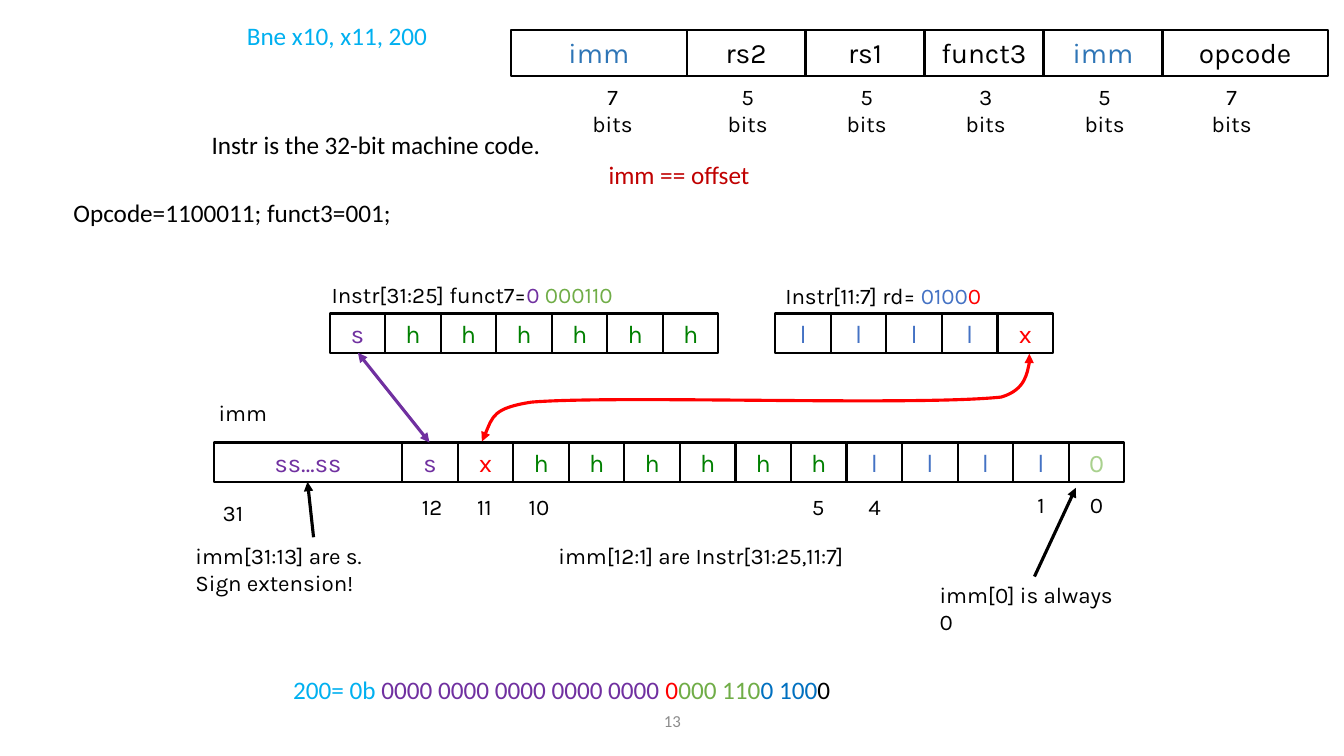
from itertools import accumulate

from pptx import Presentation
from pptx.dml.color import RGBColor
from pptx.enum.shapes import MSO_CONNECTOR, MSO_SHAPE
from pptx.enum.text import MSO_ANCHOR, PP_ALIGN
from pptx.oxml.ns import qn
from pptx.oxml.xmlchemy import OxmlElement
from pptx.util import Inches, Pt

BLACK = RGBColor(0x00, 0x00, 0x00)
GRAY = RGBColor(0x8C, 0x8C, 0x8C)
PURPLE = RGBColor(0x70, 0x30, 0xA0)
RED = RGBColor(0xFF, 0x00, 0x00)
DARK_RED = RGBColor(0xC0, 0x00, 0x00)
DARK_GREEN = RGBColor(0x00, 0x80, 0x00)
GREEN = RGBColor(0x70, 0xAD, 0x47)
PALE_GREEN = RGBColor(0xA9, 0xD1, 0x8E)
BLUE = RGBColor(0x44, 0x72, 0xC4)
FIELD_BLUE = RGBColor(0x2E, 0x75, 0xB6)
DEEP_BLUE = RGBColor(0x00, 0x70, 0xC0)
SKY = RGBColor(0x00, 0xB0, 0xF0)

BIT_COLORS = {"s": PURPLE, "x": RED, "h": DARK_GREEN, "l": BLUE, "0": PALE_GREEN}
IMM_LEFT, IMM_TOP = 3.99, 4.39
CELL_WIDTH, CELL_HEIGHT = 6.61 / 12, 0.39
SIGN_WIDTH = 1.87

KARLA = {"name": "Karla", "size": Pt(16)}
CELL = {"name": "Karla", "size": Pt(18)}
FIELD = {"name": "Karla", "size": Pt(20)}
CALIBRI = {"name": "Calibri", "size": Pt(18)}
PAGE = {"name": "Calibri", "size": Pt(12)}

# Instruction fields: name, color, width, bit count, left of the bit label
FIELDS = [
    ("imm", FIELD_BLUE, 1.74, 7, 5.70),
    ("rs2", BLACK, 1.18, 5, 7.04),
    ("rs1", BLACK, 1.18, 5, 8.22),
    ("funct3", BLACK, 1.18, 3, 9.40),
    ("imm", FIELD_BLUE, 1.18, 5, 10.58),
    ("opcode", BLACK, 1.64, 7, 11.84),
]

# Bit numbers below the immediate: text, left, top, width
BIT_NUMBERS = [
    ("12", 3.99, 4.84, 0.59),
    ("11", 4.53, 4.84, 0.55),
    ("10", 5.07, 4.84, 0.55),
    ("5", 7.84, 4.84, 0.55),
    ("4", 8.40, 4.84, 0.55),
    ("1", 10.05, 4.82, 0.55),
    ("0", 10.60, 4.82, 0.55),
]

# Notes: left, top, width, height, font, lines of (text, color) runs
NOTES = [
    (2.35, 0.15, 2.3, 0.4, CALIBRI, [[("Bne x10, x11, 200", SKY)]]),
    (0.63, 1.91, 9.47, 0.4, CALIBRI, [[("Opcode=1100011; funct3=001; ", BLACK)]]),
    (3.19, 2.74, 3.76, 0.37, KARLA,
     [[("Instr[31:25] funct7=", BLACK), ("0 ", PURPLE), ("000110", GREEN)]]),
    (7.69, 2.75, 2.89, 0.37, KARLA,
     [[("Instr[11:7] rd= ", BLACK), ("0100", BLUE), ("0", RED)]]),
    (2.07, 3.91, 0.76, 0.37, KARLA, [[("imm", BLACK)]]),
    (2.11, 4.9, 0.59, 0.37, KARLA, [[("31", BLACK)]]),
    (1.84, 5.33, 2.53, 0.64, KARLA,
     [[("imm[31:13] are s.", BLACK)], [("Sign extension!", BLACK)]]),
    (5.44, 5.33, 3.78, 0.37, KARLA, [[("imm[12:1] are Instr[31:25,11:7]", BLACK)]]),
    (9.22, 5.72, 2.06, 0.37, KARLA, [[("imm[0] is always 0", BLACK)]]),
    (2.81, 6.64, 6.67, 0.4, CALIBRI,
     [[("200= 0b ", SKY), ("0000 0000 0000 0000 0000 ", PURPLE), ("0", RED),
       ("000 110", GREEN), ("0 100", DEEP_BLUE), ("0", BLACK)]]),
]


def write_lines(text_frame, lines, font, alignment):
    """Write lines of (text, color) runs into a text frame."""
    text_frame.word_wrap = True
    for index, runs in enumerate(lines):
        paragraph = text_frame.add_paragraph() if index else text_frame.paragraphs[0]
        paragraph.alignment = alignment
        for text, color in runs:
            run = paragraph.add_run()
            run.text = text
            run.font.color.rgb = color
            for attribute, value in font.items():
                setattr(run.font, attribute, value)


def add_text(shapes, left, top, width, height, font, lines, alignment=PP_ALIGN.LEFT):
    """Add a wrapping text box and return its text frame."""
    box = shapes.add_textbox(Inches(left), Inches(top), Inches(width), Inches(height))
    write_lines(box.text_frame, lines, font, alignment)
    return box.text_frame


def add_cell(shapes, left, top, width, height, text, color, font=CELL):
    """Add an outlined box with centred text."""
    cell = shapes.add_shape(MSO_SHAPE.RECTANGLE, Inches(left), Inches(top),
                            Inches(width), Inches(height))
    cell.shadow.inherit = False
    cell.fill.background()
    cell.line.color.rgb = BLACK
    cell.line.width = Pt(1.5)
    cell.text_frame.vertical_anchor = MSO_ANCHOR.TOP
    write_lines(cell.text_frame, [[(text, color)]], font, PP_ALIGN.CENTER)


def add_bits(shapes, left, top, bits):
    """Add a row of one-bit cells, each in the color of its letter."""
    for index, bit in enumerate(bits):
        add_cell(shapes, left + index * CELL_WIDTH, top, CELL_WIDTH, CELL_HEIGHT,
                 bit, BIT_COLORS[bit])


def style_arrow(shape, color, ends):
    """Color a line and put triangles on the named ends."""
    shape.line.color.rgb = color
    shape.line.width = Pt(2.25)
    outline = shape.element.spPr.find(qn("a:ln"))
    for end in ends:
        arrowhead = OxmlElement(f"a:{end}")
        arrowhead.set("type", "triangle")
        outline.append(arrowhead)


def add_arrow(shapes, start, finish, color, ends=("tailEnd",)):
    """Add a straight arrow between two points."""
    arrow = shapes.add_connector(MSO_CONNECTOR.STRAIGHT,
                                 *(Inches(value) for value in start + finish))
    style_arrow(arrow, color, ends)
    arrow.element.spPr.append(OxmlElement("a:effectLst"))


def add_curved_arrow(shapes, start, curves, color):
    """Add a double-headed arrow of cubic curves, each two controls and an end."""
    builder = shapes.build_freeform(*(Inches(value) for value in start))
    builder.add_line_segments(
        [tuple(Inches(value) for value in curve[-1]) for curve in curves], close=False)
    arrow = builder.convert_to_shape()
    for segment, curve in zip(list(arrow.element.iter(qn("a:lnTo"))), curves):
        bezier = OxmlElement("a:cubicBezTo")
        for x, y in curve:
            point = OxmlElement("a:pt")
            point.set("x", str(Inches(x) - arrow.left))
            point.set("y", str(Inches(y) - arrow.top))
            bezier.append(point)
        segment.getparent().replace(segment, bezier)
    arrow.fill.background()
    arrow.shadow.inherit = False
    style_arrow(arrow, color, ("headEnd", "tailEnd"))


def add_instruction_format(slide):
    """Add the grouped instruction fields with their bit counts."""
    shapes = slide.shapes.add_group_shape().shapes
    lefts = accumulate((field[2] for field in FIELDS), initial=5.07)
    for left, (name, color, width, bits, label_left) in zip(lefts, FIELDS):
        add_cell(shapes, left, 0.3, width, 0.45, name, color, FIELD)
        add_text(shapes, label_left, 0.78, 0.75, 0.37, KARLA,
                 [[(f"{bits} bits", BLACK)]], PP_ALIGN.CENTER)


def main():
    """Build the slide on branch immediates and save it."""
    presentation = Presentation()
    presentation.slide_width, presentation.slide_height = Inches(13.33), Inches(7.5)
    slide = presentation.slides.add_slide(presentation.slide_layouts[6])
    shapes = slide.shapes

    add_instruction_format(slide)
    add_bits(shapes, 3.27, 3.11, "shhhhhh")
    add_bits(shapes, 7.69, 3.11, "llllx")
    add_cell(shapes, IMM_LEFT - SIGN_WIDTH, IMM_TOP, SIGN_WIDTH, CELL_HEIGHT,
             "ss…ss", PURPLE)
    add_bits(shapes, IMM_LEFT, IMM_TOP, "sxhhhhhhllll0")
    for number, left, top, width in BIT_NUMBERS:
        add_text(shapes, left, top, width, 0.37, KARLA, [[(number, BLACK)]],
                 PP_ALIGN.CENTER)

    add_arrow(shapes, (4.26, 4.39), (3.55, 3.5), PURPLE, ("headEnd", "tailEnd"))
    add_arrow(shapes, (3.11, 5.33), (3.05, 4.78), BLACK)
    add_arrow(shapes, (10.26, 5.72), (10.67, 4.84), BLACK)
    add_curved_arrow(shapes, (4.78, 4.38), [
        [(4.88, 4.16), (4.89, 4.05), (5.27, 3.99)],
        [(6.13, 3.92), (9.06, 4.03), (9.93, 3.94)],
        [(10.17, 3.87), (10.24, 3.54), (10.21, 3.51)],
    ], RED)

    for note in NOTES:
        add_text(shapes, *note)
    summary = add_text(shapes, 2, 1.23, 9.47, 0.71, CALIBRI,
                       [[("Instr is the 32-bit machine code.", BLACK)],
                        [("imm == offset", DARK_RED)]])
    summary.paragraphs[1].alignment = PP_ALIGN.CENTER
    page_number = add_text(shapes, 4.42, 6.95, 4.5, 0.4, PAGE, [[("13", GRAY)]],
                           PP_ALIGN.CENTER)
    page_number.vertical_anchor = MSO_ANCHOR.MIDDLE
    presentation.save("out.pptx")


main()
